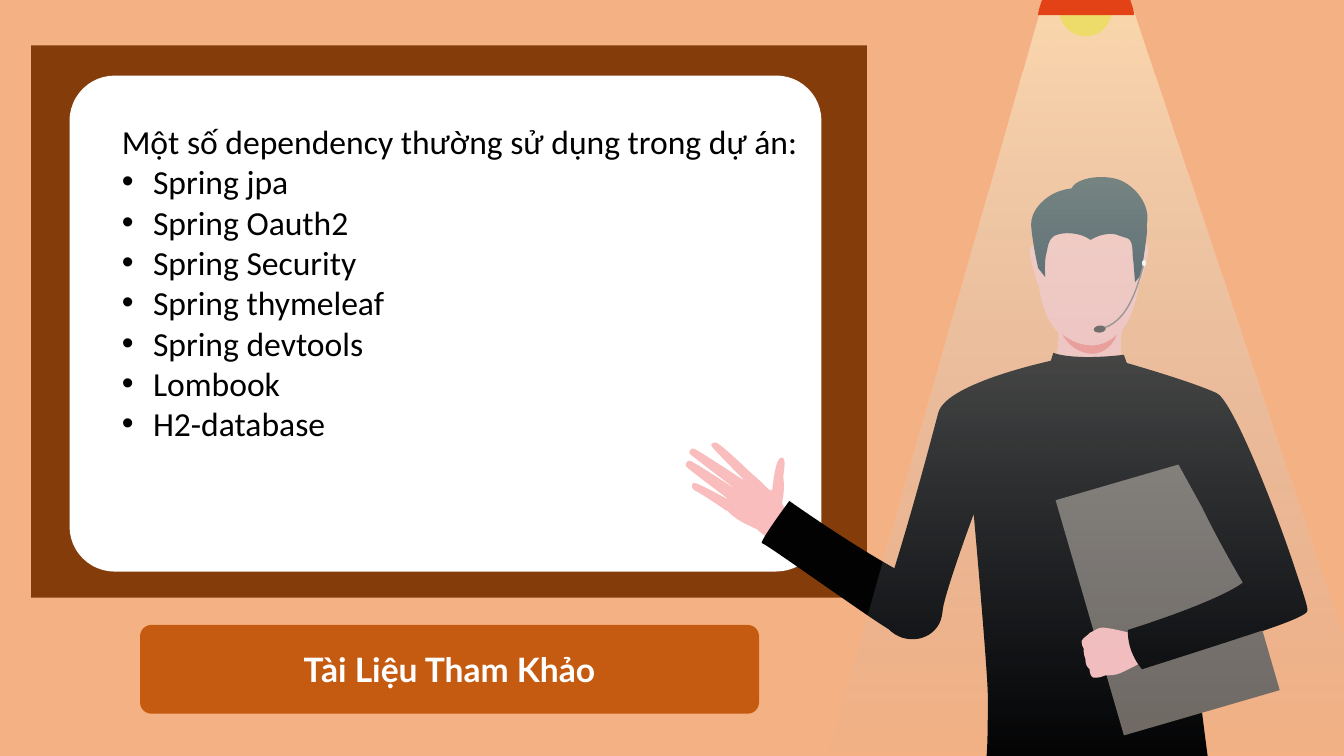
from math import cos, radians, sin

from lxml.etree import SubElement
from pptx import Presentation
from pptx.dml.color import RGBColor as Rgb
from pptx.enum.shapes import MSO_SHAPE as Preset
from pptx.enum.text import MSO_ANCHOR as Anchor, MSO_AUTO_SIZE as AutoSize, PP_ALIGN as Align
from pptx.oxml.ns import qn
from pptx.util import Emu, Pt

PX = 9144  # EMU per px, 100 px to the inch

COLORS = {
    "wall": "F4B183", "frame": "843C0B", "board": "FFFFFF", "banner": "C55A11",
    "suit": "020202", "skin": "F8BDBC", "chin": "F28582", "hair": "163342",
    "folder": "6E6760", "mic": "3B3838", "wire": "767171", "bulb": "EDDC6A",
    "lamp": "E34217", "beam_top": "FFF2CC", "beam_end": "ABC0E4", "text": "000000",
}
BODY_FONT = {"name": "Calibri", "size": Pt(24), "bold": False}
TITLE_FONT = {"name": "Lato", "size": Pt(24), "bold": True}
BULLET_INDENT = 31
DEPENDENCIES = ["Spring jpa", "Spring Oauth2", "Spring Security", "Spring thymeleaf",
                "Spring devtools", "Lombook", "H2-database"]


def color(name):
    return Rgb.from_string(COLORS[name])


def spin(point, degrees):
    """Turn a point clockwise about the slide's top left corner."""
    x, y = point
    c, s = cos(radians(degrees)), sin(radians(degrees))
    return x * c - y * s, x * s + y * c


def read_contours(outline):
    """Split M, L and C commands in px into contours in EMU and the command of each point."""
    contours, commands, command = [], [], "M"
    for token in outline.split():
        if token in "MLC":
            command = token
            continue
        point = tuple(int(number) * PX for number in token.split(","))
        if command == "M":
            contours.append([point])
        else:
            contours[-1].append(point)
            commands.append(command)
    return contours, commands


def bend(shape, commands):
    """Join each three line segments marked C into one cubic curve."""
    segments = iter(list(shape.element.iter(qn("a:lnTo"))))
    kinds = iter(commands)
    for segment, kind in zip(segments, kinds):
        if kind == "C":
            segment.tag = qn("a:cubicBezTo")
            for _ in range(2):
                next(kinds)
                extra = next(segments)
                segment.append(extra[0])
                extra.getparent().remove(extra)


class Board:
    def __init__(self, presentation):
        self.slide = presentation.slides.add_slide(presentation.slide_layouts[6])
        self.slide.background.fill.solid()
        self.slide.background.fill.fore_color.rgb = color("wall")
        self.shapes = self.slide.shapes

    def start_group(self):
        self.shapes = self.slide.shapes.add_group_shape().shapes

    def end_group(self):
        self.shapes = self.slide.shapes

    def finish(self, shape, fill, turn=0):
        shape.shadow.inherit = False
        shape.line.fill.background()
        shape.rotation = turn
        if fill:
            shape.fill.solid()
            shape.fill.fore_color.rgb = color(fill)
        else:
            shape.fill.background()
        return shape

    def preset(self, kind, box, fill, turn=0, corner=None):
        shape = self.shapes.add_shape(kind, *(Emu(length * PX) for length in box))
        if corner is not None:
            shape.adjustments[0] = corner
        return self.finish(shape, fill, turn)

    def outline(self, fill, outline, turn=0):
        """Draw an outline; turn is the rotation its frame carries."""
        contours, commands = read_contours(outline)
        contours = [[spin(point, -turn) for point in contour] for contour in contours]
        builder = self.shapes.build_freeform(*contours[0][0], scale=1.0)
        for index, (start, *others) in enumerate(contours):
            if index:
                builder.move_to(*start)
            builder.add_line_segments(others, close=bool(fill))
        shape = builder.convert_to_shape()
        bend(shape, commands)
        half_width, half_height = shape.width / 2, shape.height / 2
        x, y = spin((shape.left + half_width, shape.top + half_height), turn)
        shape.left, shape.top = Emu(round(x - half_width)), Emu(round(y - half_height))
        return self.finish(shape, fill, turn)

    def wire(self, outline):
        line = self.outline(None, outline).line
        line.color.rgb = color("wire")
        line.width = Pt(1)

    def beam(self, outline):
        shape = self.outline("beam_top", outline)
        shape.fill.gradient()
        shape.fill.gradient_angle = 270
        for stop, name in zip(shape.fill.gradient_stops, ("beam_top", "beam_end")):
            stop.color.rgb = color(name)
        for tint, alpha in zip(shape.element.iter(qn("a:srgbClr")), (58000, 0)):
            SubElement(tint, qn("a:alpha")).set("val", str(alpha))

    def paragraph(self, paragraph, text, font, font_color, bullet=False):
        paragraph.text = text
        if bullet:
            properties = paragraph._p.get_or_add_pPr()
            properties.set("marL", str(BULLET_INDENT * PX))
            properties.set("indent", str(-BULLET_INDENT * PX))
            SubElement(properties, qn("a:buFont")).set("typeface", "Arial")
            SubElement(properties, qn("a:buChar")).set("char", "•")
        run_font = paragraph.runs[0].font
        for attribute, value in font.items():
            setattr(run_font, attribute, value)
        run_font.color.rgb = color(font_color)

    def banner(self, box, text):
        shape = self.preset(Preset.ROUNDED_RECTANGLE, box, "banner", corner=0.126)
        shape.text_frame.vertical_anchor = Anchor.MIDDLE
        title = shape.text_frame.paragraphs[0]
        title.alignment = Align.CENTER
        self.paragraph(title, text, TITLE_FONT, "board")

    def list_box(self, box, heading, items):
        frame = self.shapes.add_textbox(*(Emu(length * PX) for length in box)).text_frame
        frame.word_wrap = True
        frame.auto_size = AutoSize.SHAPE_TO_FIT_TEXT
        self.paragraph(frame.paragraphs[0], heading, BODY_FONT, "text")
        for item in items:
            self.paragraph(frame.add_paragraph(), item, BODY_FONT, "text", bullet=True)


def draw_speaker(board):
    board.start_group()
    board.outline("suit", "M 1089,352 C 1089,352 1174,375 1207,390 1222,397 1261,494 1282,556 1291,583 1298,603 1297,606 "
                  "1297,609 1284,615 1264,622 1242,630 1213,639 1187,647 1187,673 1200,763 1202,780 "
                  "1167,796 968,805 979,747 980,731 980,706 980,691 980,667 966,510 966,510 "
                  "966,510 936,591 935,607 935,609 933,613 931,618 L 926,619 879,590 881,584 "
                  "C 905,508 923,439 931,409 940,379 1047,357 1047,357 L 1089,352")
    for part in (
        "M 1049,320 C 1049,320 1053,344 1045,360 1045,360 1038,398 1077,400 1116,402 1117,367 1117,367 "
        "1117,367 1108,354 1114,320 1120,286 1049,320 1049,320",
        "M 1072,201 C 1072,201 1022,208 1030,278 1037,349 1082,343 1085,343 1088,343 1129,344 1132,258 "
        "1132,258 1134,195 1072,201",
        "M 1029,246 C 1029,246 1024,240 1022,247 1020,253 1029,279 1029,281 1029,281 1030,283 1032,282 "
        "1033,281 1029,246 1029,246",
        "M 1131,245 C 1131,245 1136,239 1139,245 1141,251 1132,279 1131,280 1131,280 1130,282 1129,281 "
        "1128,280 1131,245 1131,245",
    ):
        board.outline("skin", part)
    board.outline("hair", "M 1030,266 L 1037,275 C 1037,275 1036,259 1038,252 1040,245 1039,239 1046,234 "
                  "1054,230 1071,230 1082,238 1099,228 1111,233 1118,236 1125,239 1123,249 1124,256 "
                  "1125,263 1126,280 1126,280 L 1132,273 C 1132,273 1138,235 1138,228 "
                  "1137,220 1140,180 1063,187 1054,188 1046,191 1039,196 1031,202 1023,211 1023,223 "
                  "1024,240 1030,266 1030,266")
    board.outline("chin", "M 1108,332 C 1108,332 1087,356 1054,332 1054,332 1063,350 1083,351 1102,351 1108,332 1108,332")
    board.preset(Preset.RECTANGLE, (1078, 469, 161, 243), "folder", turn=343.8)
    board.outline("skin", "M 1084,672 C 1084,672 1088,673 1091,672 1091,672 1094,671 1097,670 "
                  "1101,670 1106,670 1111,668 1116,666 1133,657 1133,657 L 1128,642 1125,629 "
                  "C 1125,629 1096,621 1091,623 1086,625 1083,627 1081,628 "
                  "1081,629 1074,633 1073,636 1073,639 1074,642 1075,643 1075,643 1075,650 1077,654 "
                  "1077,654 1076,660 1081,664 1081,664 1081,670 1084,672")
    board.outline("suit", "M 1119,625 C 1119,625 1117,645 1133,664 1133,664 1253,626 1268,620 1282,615 1215,438 1215,438 "
                  "L 1166,455 1193,504 C 1193,504 1206,532 1233,578 1233,578 1216,594 1119,625")
    board.outline("suit", "M 1034,385 L 1045,350 C 1045,350 1063,358 1115,352 L 1127,386 C 1127,386 1082,425 1034,385")
    board.outline("hair", "M 1062,189 C 1066,176 1093,173 1109,178 1125,183 1147,206 1135,231 "
                  "1131,244 1106,233 1094,226 1082,219 1058,202 1062,189", turn=17.9)
    board.preset(Preset.OVAL, (1085, 323, 12, 7), "mic", turn=353.4)
    board.wire("M 1135,261 C 1128,287 1119,317 1096,325")
    board.preset(Preset.OVAL, (1133, 258, 4, 6), "board")
    board.end_group()


def draw_pointing_arm(board):
    board.start_group()
    board.outline("skin", "M 792,514 C 792,514 774,505 776,497 778,490 778,478 777,474 777,469 781,453 775,454 "
                  "769,455 767,480 766,486 765,491 751,472 746,471 741,469 711,496 722,507 "
                  "732,519 752,524 753,527 755,529 770,540 770,540 L 792,514", turn=90)
    board.outline("skin", "M 749,473 C 749,473 714,439 710,439 706,439 704,441 707,444 710,448 740,478 740,478 "
                  "740,478 692,446 688,445 686,444 683,448 684,450 686,452 732,487 732,487 "
                  "732,487 687,457 684,457 681,457 678,462 682,464 685,467 725,497 725,497 "
                  "725,497 691,478 688,479 687,480 683,484 692,488 701,493 721,507 721,507 L 749,473", turn=90)
    board.outline("suit", "M 925,582 L 896,633 888,628 C 872,619 850,603 828,588 792,563 758,539 756,539 "
                  "752,539 783,497 783,497 783,497 828,529 872,555 889,565 905,574 918,579 L 925,582", turn=90)
    board.preset(Preset.OVAL, (875, 574, 58, 62), "suit", turn=108.6)
    board.end_group()


def draw_lamp(board):
    board.start_group()
    board.beam("M 816,767 L 1032,10 1124,10 1377,767")
    board.preset(Preset.OVAL, (1051, -16, 52, 52), "bulb", turn=95.9)
    board.outline("lamp", "M 1102,-25 C 1114,-17 1122,-3 1125,13 L 1125,15 1030,15 1030,13 "
                  "C 1035,-13 1054,-32 1078,-32 1086,-32 1095,-29 1102,-25", turn=359.9)
    board.end_group()


def main():
    presentation = Presentation()
    presentation.slide_width, presentation.slide_height = Emu(12192000), Emu(6858000)
    board = Board(presentation)
    board.preset(Preset.RECTANGLE, (31, 45, 829, 548), "frame")
    board.banner((139, 620, 614, 88), "Tài Liệu Tham Khảo")
    board.preset(Preset.ROUNDED_RECTANGLE, (69, 75, 746, 492), "board", corner=0.091)
    draw_speaker(board)
    draw_pointing_arm(board)
    draw_lamp(board)
    board.list_box((111, 115, 699, 333), "Một số dependency thường sử dụng trong dự án:", DEPENDENCIES)
    presentation.save("out.pptx")


if __name__ == "__main__":
    main()
